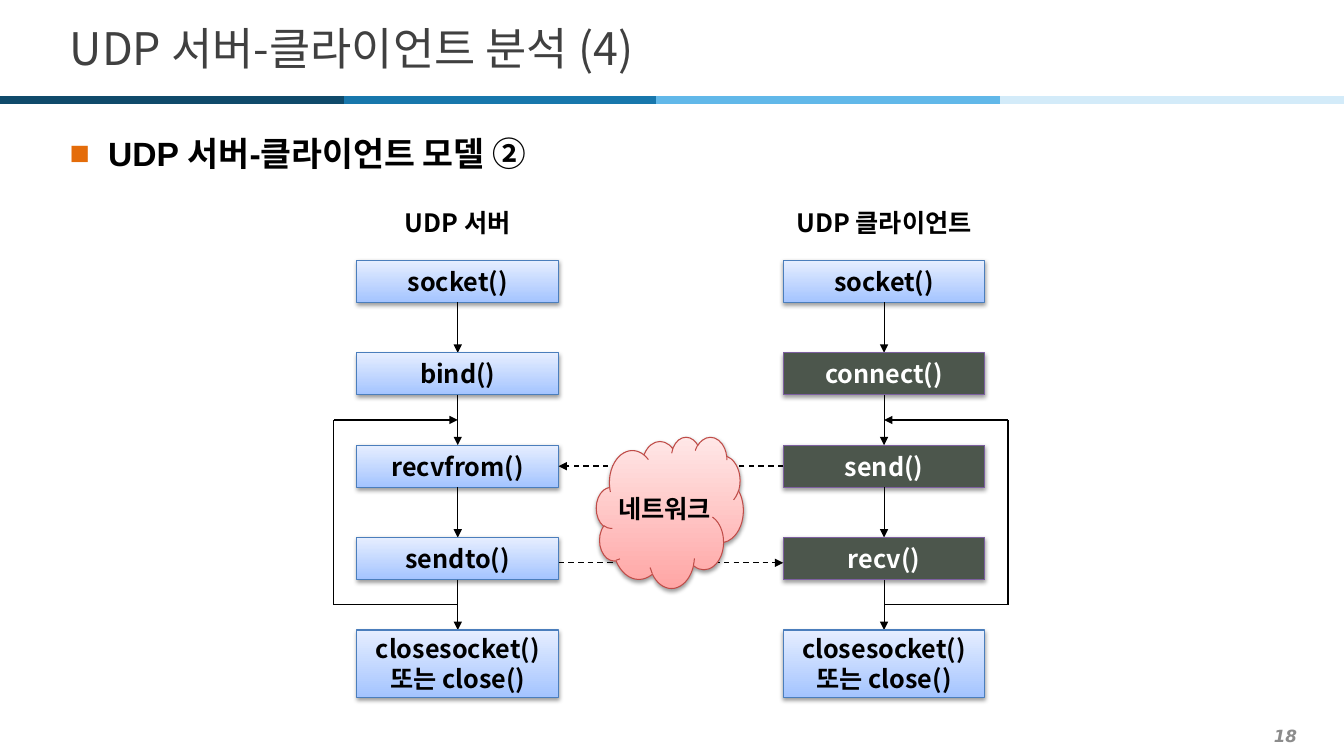
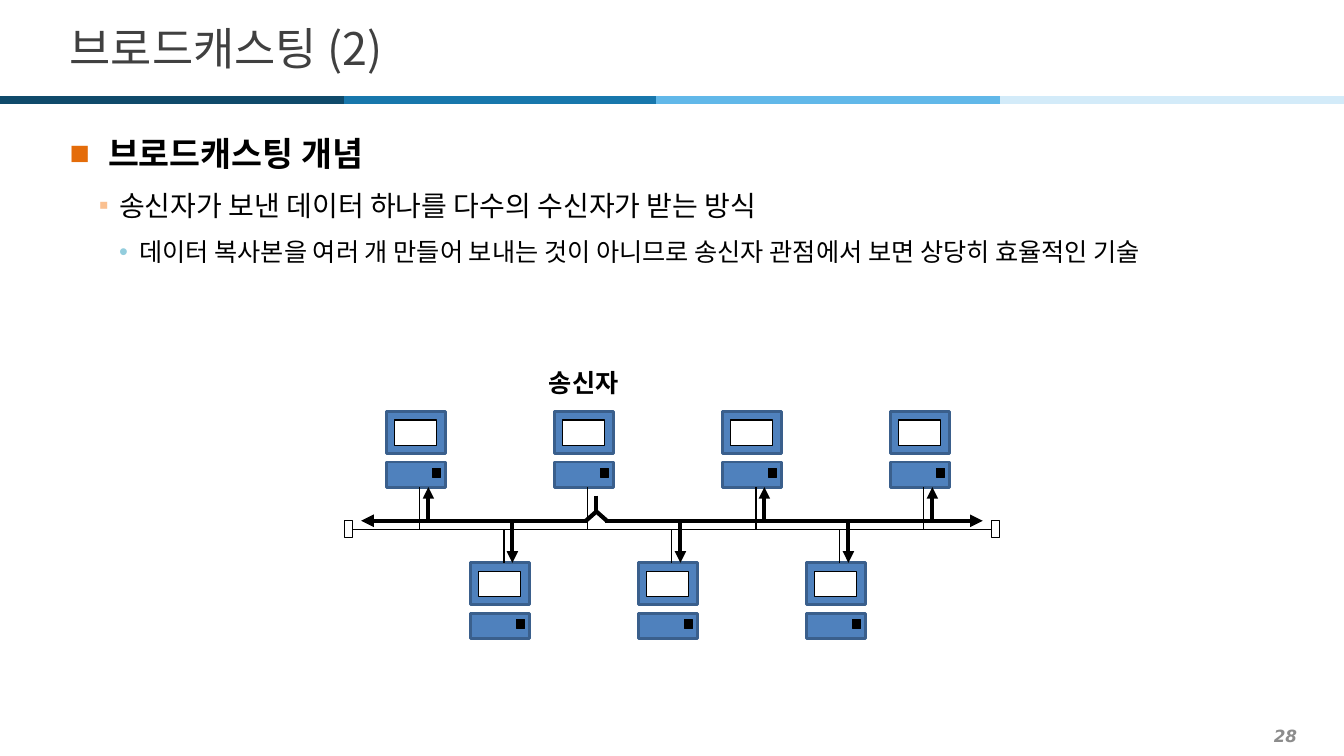
import pptx
import pptx.util
import pptx.dml.color
import pptx.enum.dml
import pptx.enum.shapes
import pptx.enum.text
import pptx.oxml.ns
import lxml.etree

RGB = pptx.dml.color.RGBColor
SHAPE = pptx.enum.shapes.MSO_SHAPE
ALIGN = pptx.enum.text.PP_ALIGN
MIDDLE = pptx.enum.text.MSO_ANCHOR.MIDDLE
Pt = pptx.util.Pt

BLACK = RGB(0, 0, 0)
WHITE = RGB(255, 255, 255)
GRAY = RGB(0x8C, 0x8C, 0x8C)
INK = RGB(0x40, 0x40, 0x40)
DARK = RGB(0x4C, 0x56, 0x4C)
PURPLE = RGB(0x7D, 0x60, 0xA0)
SKY = (RGB(0xA4, 0xC4, 0xFF), RGB(0xE6, 0xEE, 0xFF))
SKY_EDGE = RGB(0x4B, 0x7E, 0xBC)
ROSE = (RGB(0xFF, 0xA6, 0xA5), RGB(0xFF, 0xE7, 0xE7))
ROSE_EDGE = RGB(0xBF, 0x4C, 0x48)
STEEL = RGB(0x4F, 0x81, 0xBD)
STEEL_EDGE = RGB(0x3A, 0x5F, 0x8C)
BANDS = (RGB(0x0F, 0x4A, 0x6B), RGB(0x18, 0x77, 0xAC),
         RGB(0x61, 0xB8, 0xE9), RGB(0xD3, 0xEB, 0xF9))

KOREAN = "Noto Sans CJK KR"
LATIN = "Arial"
WIDE, HIGH = 160, 90  # the slide is a grid of cells, twelve to the inch

# font, size, bold, line spacing, before, after, indent, hanging, bullet, colour
LEVELS = (
    (LATIN, 24, True, 1.2, 0, 2, 0.38, 0.38, "■", "E46C0A"),
    (KOREAN, 20, False, 1.3, 2, 2, 0.49, 0.2, "▪", "FAC090"),
    (KOREAN, 18, False, 1.2, 4, 6, 0.69, 0.2, "•", "93CDDD"),
)


def cell(count):
    return pptx.util.Inches(count / 12)


def place(shape, left, top, width, height):
    shape.left, shape.top = cell(left), cell(top)
    shape.width, shape.height = cell(width), cell(height)


def add(parent, tag, **attrs):
    node = lxml.etree.SubElement(parent, pptx.oxml.ns.qn(tag))
    for name, value in attrs.items():
        node.set(name, str(value))
    return node


def style(para, size, color, bold=False, font=KOREAN, italic=False):
    for run in para.runs:
        face = run.font
        face.size, face.bold, face.italic = Pt(size), bold, italic
        face.name = font
        face.color.rgb = color
        add(face._element, "a:ea", typeface=KOREAN)


def write(shape, text, color=BLACK):
    """Fill a shape with bold centred text."""
    frame = shape.text_frame
    frame.text = text
    frame.word_wrap = True
    frame.vertical_anchor = MIDDLE
    frame.margin_left = frame.margin_right = 0
    for para in frame.paragraphs:
        para.alignment = ALIGN.CENTER
        style(para, 18, color, bold=True)


def label(slide, text, left, top, width):
    box = slide.shapes.add_textbox(0, 0, 0, 0)
    place(box, left, top, width, 5)
    write(box, text)


def block(slide, area, fill, edge, width=0.75, kind=SHAPE.RECTANGLE):
    """Draw an outlined shape; a pair of colours makes a rising gradient."""
    shape = slide.shapes.add_shape(kind, 0, 0, 0, 0)
    place(shape, *area)
    shape.shadow.inherit = False
    if isinstance(fill, RGB):
        shape.fill.solid()
        shape.fill.fore_color.rgb = fill
    else:
        shape.fill.gradient()
        shape.fill.gradient_angle = 90
        for stop, color in zip(shape.fill.gradient_stops, fill):
            stop.color.rgb = color
    shape.line.color.rgb = edge
    shape.line.width = Pt(width)
    return shape


def shade(shape):
    """Give a shape a soft shadow below it."""
    effects = shape._element.spPr.find(pptx.oxml.ns.qn("a:effectLst"))
    outer = add(effects, "a:outerShdw", blurRad=Pt(3.1), dist=Pt(1.6),
                dir=5400000, rotWithShape=0)
    add(add(outer, "a:srgbClr", val="000000"), "a:alpha", val=38000)


def link(slide, start, end, width=0.75, color=BLACK, arrow=False, dash=False):
    line = slide.shapes.add_connector(
        pptx.enum.shapes.MSO_CONNECTOR.STRAIGHT,
        *(cell(count) for count in (*start, *end)))
    line.line.color.rgb = color
    line.line.width = Pt(width)
    if dash:
        line.line.dash_style = pptx.enum.dml.MSO_LINE.DASH
    if arrow:
        add(line.line._get_or_add_ln(), "a:tailEnd", type="triangle")
    add(line._element.spPr, "a:effectLst")
    return line


def start(deck, title, points, number):
    """Add a slide with its title, its list by level and its number."""
    slide = deck.slides.add_slide(deck.slide_layouts[1])
    head, body = slide.placeholders
    place(head, 7.1, 1.6, 146.5, 8.2)
    head.text_frame.text = title
    head.text_frame.vertical_anchor = MIDDLE
    head.text_frame.auto_size = pptx.enum.text.MSO_AUTO_SIZE.NONE
    para = head.text_frame.paragraphs[0]
    para.alignment = ALIGN.LEFT
    style(para, 32, INK)

    place(body, 7.1, 14.2, 146.5, 72.4)
    body.text_frame.text = "\n".join(points)
    for level, para in enumerate(body.text_frame.paragraphs):
        bullet(para, level)

    foot = slide.shapes.add_textbox(0, 0, 0, 0)
    place(foot, 2.4, 85.7, 153.2, 3.7)
    foot.text_frame.text = number
    foot.text_frame.word_wrap = True
    foot.text_frame.vertical_anchor = MIDDLE
    para = foot.text_frame.paragraphs[0]
    para.alignment = ALIGN.RIGHT
    style(para, 12, GRAY, True, "DejaVu Sans", italic=True)
    return slide


def bullet(para, level):
    font, size, bold, gap, before, after, indent, hang, mark, tint = LEVELS[level]
    para.level = level
    para.line_spacing = gap
    para.space_before, para.space_after = Pt(before), Pt(after)
    props = para._p.get_or_add_pPr()
    props.set("marL", str(pptx.util.Inches(indent)))
    props.set("indent", str(pptx.util.Inches(-hang)))
    add(add(props, "a:buClr"), "a:srgbClr", val=tint)
    add(props, "a:buFont", typeface=LATIN)
    add(props, "a:buChar", char=mark)
    style(para, size, BLACK, bold, font)


def stripe(deck, slide):
    """Draw the band of four colours and move it to the shared layout."""
    stops = [share * WIDE for share in (0, 0.256, 0.488, 0.744, 1)]
    top = HIGH * 0.132
    for left, right, color in zip(stops, stops[1:], BANDS):
        line = link(slide, (left, top), (right, top), 6, color)
        deck.slide_layouts[1].shapes.element.append(line._element)


def flow(slide, title, calls, mid, side):
    """Draw one column of calls with a loop on its left (-1) or right (1)."""
    first, step, wide, tall = 31, 11, 24, 5
    label(slide, title, mid - wide / 2, 24, wide)
    last = len(calls) - 1
    for row, (call, dark) in enumerate(calls):
        top = first + row * step
        area = (mid - wide / 2, top, wide, 8 if row == last else tall)
        fill, edge = (DARK, PURPLE) if dark else (SKY, SKY_EDGE)
        box = block(slide, area, fill, edge)
        shade(box)
        write(box, call, WHITE if dark else BLACK)
        if row < last:
            link(slide, (mid, top + tall), (mid, top + step), arrow=True)
    lane = mid + side * 14.75
    link(slide, (mid, 72), (lane, 72))
    link(slide, (lane, 72), (lane, 50))
    link(slide, (lane, 50), (mid, 50), arrow=True)


def model(slide):
    close = ("closesocket()\n또는 close()", False)
    flow(slide, "UDP 서버",
         [("socket()", False), ("bind()", False), ("recvfrom()", False),
          ("sendto()", False), close], 54.5, -1)
    flow(slide, "UDP 클라이언트",
         [("socket()", False), ("connect()", True), ("send()", True),
          ("recv()", True), close], 105.25, 1)
    near, far = 66.5, 93.25
    link(slide, (far, 55.5), (near, 55.5), 1, arrow=True, dash=True)
    link(slide, (near, 67), (far, 67), 1, arrow=True, dash=True)
    cloud = block(slide, (71, 52, 17.5, 18), ROSE, ROSE_EDGE, kind=SHAPE.CLOUD)
    shade(cloud)
    write(cloud, "네트워크")


def host(slide, left, top):
    """Draw a computer: monitor, case, button and screen."""
    block(slide, (left, top, 7, 5), STEEL, STEEL_EDGE, 2)
    block(slide, (left, top + 6, 7, 3), STEEL, STEEL_EDGE, 2)
    block(slide, (left + 5.5, top + 6.8, 1, 1), BLACK, BLACK)
    block(slide, (left + 1, top + 1, 5, 3), WHITE, BLACK)


def network(slide):
    wire, path, step, sender = 63, 62, 20, 1
    link(slide, (42, wire), (118, wire))
    for left in (41, 118):
        block(slide, (left, wire - 1, 1, 2), WHITE, BLACK)
    # first host, host top, host edge facing the wire, number of hosts
    for first, top, edge, count in ((46, 49, 58, 4), (56, 67, 67, 3)):
        for index in range(count):
            left = first + index * step
            host(slide, left, top)
            link(slide, (left + 4, edge), (left + 4, wire))
            if (top, index) != (49, sender):
                link(slide, (left + 5, path), (left + 5, edge), 2.75, arrow=True)

    fork = 71
    link(slide, (fork, 59), (fork, 61), 3)
    for side, end in ((-1, 43), (1, 117)):
        link(slide, (fork, 60.9), (fork + side * 1.25, path), 3)
        link(slide, (fork + side, path), (end, path), 3, arrow=True)
    label(slide, "송신자", 58, 43, 23)


def main():
    deck = pptx.Presentation()
    deck.slide_width, deck.slide_height = cell(WIDE), cell(HIGH)
    first = start(deck, "UDP 서버-클라이언트 분석 (4)",
                  ["UDP 서버-클라이언트 모델 ②"], "18")
    stripe(deck, first)
    model(first)
    second = start(deck, "브로드캐스팅 (2)", [
        "브로드캐스팅 개념",
        "송신자가 보낸 데이터 하나를 다수의 수신자가 받는 방식",
        "데이터 복사본을 여러 개 만들어 보내는 것이 아니므로 "
        "송신자 관점에서 보면 상당히 효율적인 기술"], "28")
    network(second)
    deck.save("out.pptx")


if __name__ == "__main__":
    main()
